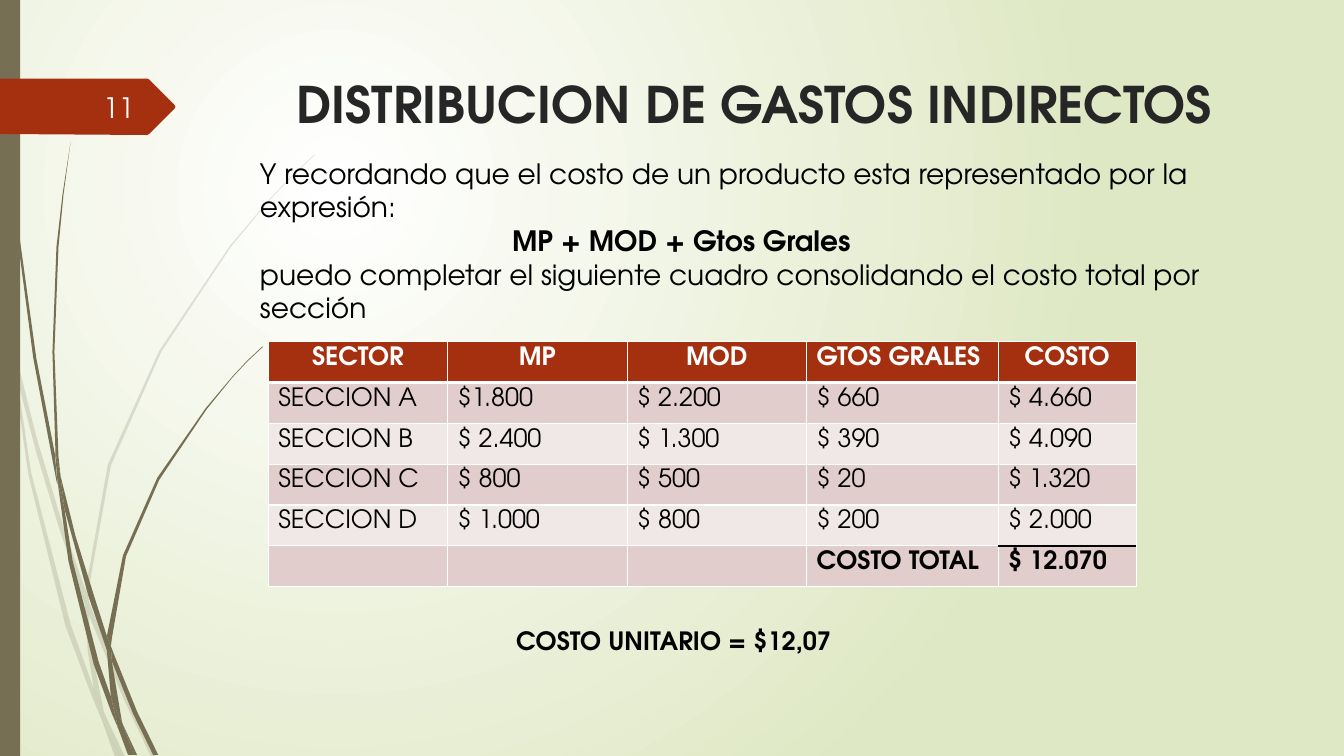
"""Build the slide that sums up direct and indirect costs by section."""
from dataclasses import dataclass

from lxml import etree
from pptx import Presentation
from pptx.dml.color import RGBColor
from pptx.enum.shapes import MSO_CONNECTOR, MSO_SHAPE
from pptx.enum.text import MSO_ANCHOR, PP_ALIGN
from pptx.oxml.ns import qn
from pptx.util import Inches, Pt

LEFT, MID, RIGHT = PP_ALIGN.LEFT, PP_ALIGN.CENTER, PP_ALIGN.RIGHT
TOP, HALF = MSO_ANCHOR.TOP, MSO_ANCHOR.MIDDLE
RECT, LINE = MSO_SHAPE.RECTANGLE, MSO_CONNECTOR.STRAIGHT


@dataclass(frozen=True)
class Theme:
    """Colours, font and type sizes."""
    font: str = "TeX Gyre Adventor"
    black: str = "000000"
    white: str = "FFFFFF"
    pale: str = "FEFFFF"
    dark: str = "262626"
    green: str = "DFE8C4"
    olive: str = "766F54"
    red: str = "A53010"
    bands: tuple = ("F0E8E7", "E1CDCC")
    head: int = 36
    body: int = 20
    cell: int = 18


T = Theme()
WIDE, HIGH = 13.33, 7.5

TITLE = "DISTRIBUCION DE GASTOS INDIRECTOS"
NUMBER = "11"
INTRO = [
    ("Y recordando que el costo de un producto esta representado por la expresión:", {}),
    ("MP + MOD + Gtos Grales", {"bold": True, "indent": 2.5}),
    ("puedo completar el siguiente cuadro consolidando el costo total por sección", {}),
]
UNIT = "COSTO UNITARIO = $12,07"
COSTS = [
    ("SECTOR", "MP", "MOD", "GTOS GRALES", "COSTO"),
    ("SECCION A", "$1.800", "$ 2.200", "$ 660", "$ 4.660"),
    ("SECCION B", "$ 2.400", "$ 1.300", "$ 390", "$ 4.090"),
    ("SECCION C", "$ 800", "$ 500", "$ 20", "$ 1.320"),
    ("SECCION D", "$ 1.000", "$ 800", "$ 200", "$ 2.000"),
    ("", "", "", "COSTO TOTAL", "$ 12.070"),
]
COLS = (1.78, 1.78, 1.78, 1.9, 1.37)
ROW = 0.405
GRID_X, GRID_Y = 2.66, 3.39

FAINT = [
    [(11, 350), (9, 322), (0, 282), (0, 299), (10, 344)],
    [(58, 522), (84, 599), (85, 586), (62, 520), (36, 433), (14, 345), (17, 376), (36, 449)],
    [(92, 607), (88, 596), (88, 610), (123, 694), (150, 751), (155, 751), (127, 692)],
    [(119, 751), (124, 751), (105, 711)],
    [(93, 683), (70, 619), (31, 469), (17, 376), (11, 350), (28, 470), (65, 621),
     (92, 693), (101, 714), (99, 707)],
    [(84, 599), (87, 646), (93, 683), (96, 692), (105, 711), (103, 706), (91, 646),
     (88, 610), (88, 608)],
    [(88, 584), (110, 462), (160, 349), (229, 245), (268, 198), (290, 175), (312, 154),
     (312, 153), (289, 175), (268, 197), (228, 244), (158, 348), (107, 461), (85, 584),
     (85, 586), (88, 596)],
    [(101, 714), (114, 751), (119, 751)],
    [(88, 608), (88, 610), (88, 596), (85, 586), (84, 599)],
    [(96, 692), (93, 683), (99, 707), (101, 714), (119, 751), (105, 711)],
]
SOLID = [
    [(7, 110), (17, 233), (33, 355), (56, 477), (57, 481), (55, 457), (55, 453), (36, 355),
     (19, 232), (8, 109), (5, 48), (4, 0), (3, 0), (4, 48)],
    [(88, 592), (106, 645), (106, 633), (106, 631), (93, 590), (75, 532), (60, 472), (64, 505)],
    [(113, 649), (110, 641), (111, 656), (132, 708), (152, 749), (157, 749), (136, 706)],
    [(110, 691), (98, 657), (72, 556), (64, 505), (57, 477), (68, 557), (93, 659),
     (111, 708), (117, 722), (116, 717)],
    [(60, 472), (58, 453), (54, 349), (58, 245), (63, 193), (70, 141), (62, 193),
     (56, 245), (52, 349), (55, 449)],
    [(133, 749), (136, 749), (122, 719)],
    [(57, 477), (64, 505), (60, 472), (55, 449), (55, 453)],
    [(111, 633), (125, 552), (158, 476), (205, 406), (231, 374), (245, 359), (261, 344),
     (260, 344), (245, 358), (231, 373), (204, 405), (156, 474), (122, 551), (106, 631),
     (110, 641)],
    [(117, 722), (127, 749), (131, 749)],
    [(106, 645), (110, 691), (116, 706), (122, 719), (121, 716), (111, 656), (109, 651)],
    [(106, 645), (109, 651), (111, 656), (110, 641), (106, 631), (106, 633)],
    [(116, 706), (110, 691), (116, 717), (117, 722), (130, 749), (133, 749), (122, 719)],
]
TAG = [(0, 78), (146, 78), (148, 79), (173, 104), (174, 106), (173, 108), (148, 133),
       (146, 134), (0, 133)]


def tint(hue):
    return RGBColor.from_string(hue)


def paint(shape, hue, alpha=None):
    shape.shadow.inherit = False
    shape.fill.solid()
    shape.fill.fore_color.rgb = tint(hue)
    shape.line.fill.background()
    if alpha:
        mark = shape.element.find(".//" + qn("a:srgbClr"))
        etree.SubElement(mark, qn("a:alpha"), val=str(alpha * 1000))


def trace(slide, spots, hue, alpha=None):
    pen = slide.shapes.build_freeform(*spots[0], scale=Inches(0.01))
    pen.add_line_segments(spots[1:], close=True)
    paint(pen.convert_to_shape(), hue, alpha)


def say(para, text, size=T.body, hue=T.black, bold=False, align=LEFT, indent=0):
    para.alignment = align
    if indent:
        para._p.get_or_add_pPr().set("marL", str(Inches(indent)))
    run = para.add_run()
    run.text = text
    font = run.font
    font.name, font.size, font.bold = T.font, Pt(size), bold
    font.color.rgb = tint(hue)


def box(slide, area, lines, anchor=TOP):
    frame = slide.shapes.add_textbox(*map(Inches, area)).text_frame
    frame.word_wrap = True
    frame.vertical_anchor = anchor
    for i, (text, form) in enumerate(lines):
        say(frame.add_paragraph() if i else frame.paragraphs[0], text, **form)


def edge(cell, side, width):
    rule = etree.SubElement(cell._tc.get_or_add_tcPr(), qn("a:" + side), w=str(Pt(width)))
    fill = etree.SubElement(rule, qn("a:solidFill"))
    etree.SubElement(fill, qn("a:srgbClr"), val=T.white)


def backdrop(slide):
    fill = slide.background.fill
    fill.gradient()
    for stop, hue in zip(fill.gradient_stops, (T.white, T.green)):
        stop.color.rgb = tint(hue)
    grad = slide.element.find(".//" + qn("a:gradFill"))
    grad.remove(grad.find(qn("a:lin")))
    ring = etree.SubElement(grad, qn("a:path"), path="circle")
    etree.SubElement(ring, qn("a:fillToRect"), l="50000", t="50000", r="100000", b="100000")


def costs(slide):
    area = (GRID_X, GRID_Y, sum(COLS), ROW * len(COSTS))
    table = slide.shapes.add_table(len(COSTS), len(COLS), *map(Inches, area)).table
    for col, width in zip(table.columns, COLS):
        col.width = Inches(width)
    for r, line in enumerate(COSTS):
        for c, text in enumerate(line):
            cell = table.cell(r, c)
            for side in ("lnL", "lnR", "lnT", "lnB"):
                thick = (r, side) in ((0, "lnB"), (1, "lnT"))
                edge(cell, side, 3 if thick else 1)
            cell.fill.solid()
            cell.fill.fore_color.rgb = tint(T.bands[r % 2] if r else T.red)
            if text:
                say(cell.text_frame.paragraphs[0], text, size=T.cell,
                    hue=T.black if r else T.white, bold=r in (0, len(COSTS) - 1),
                    align=LEFT if r or c == 3 else MID)
    end = GRID_X + sum(COLS)
    y = GRID_Y + ROW * (len(COSTS) - 1)
    rule = slide.shapes.add_connector(LINE, *map(Inches, (end - COLS[-1], y, end, y)))
    rule.line.color.rgb = tint(T.black)
    rule.line.width = Pt(1)
    etree.SubElement(rule.element.spPr, qn("a:effectLst"))


def main():
    deck = Presentation()
    deck.slide_width, deck.slide_height = Inches(WIDE), Inches(HIGH)
    slide = deck.slides.add_slide(deck.slide_layouts[6])
    backdrop(slide)
    for blades, alpha in ((FAINT, 20), (SOLID, None)):
        for spots in blades:
            trace(slide, spots, T.olive, alpha)
    paint(slide.shapes.add_shape(RECT, 0, 0, Inches(0.2), Inches(HIGH)), T.olive)
    trace(slide, TAG, T.red)
    box(slide, (2.84, 0.68, 9.75, 0.82),
        [(TITLE, {"size": T.head, "hue": T.dark, "bold": True})])
    box(slide, (0.58, 0.86, 0.85, 0.4), [(NUMBER, {"hue": T.pale, "align": RIGHT})], HALF)
    box(slide, (2.48, 1.5, 9.58, 1.78), INTRO)
    costs(slide)
    box(slide, (5.02, 6.15, 4.82, 0.4), [(UNIT, {"size": T.cell, "bold": True})])
    deck.save("out.pptx")


if __name__ == "__main__":
    main()
